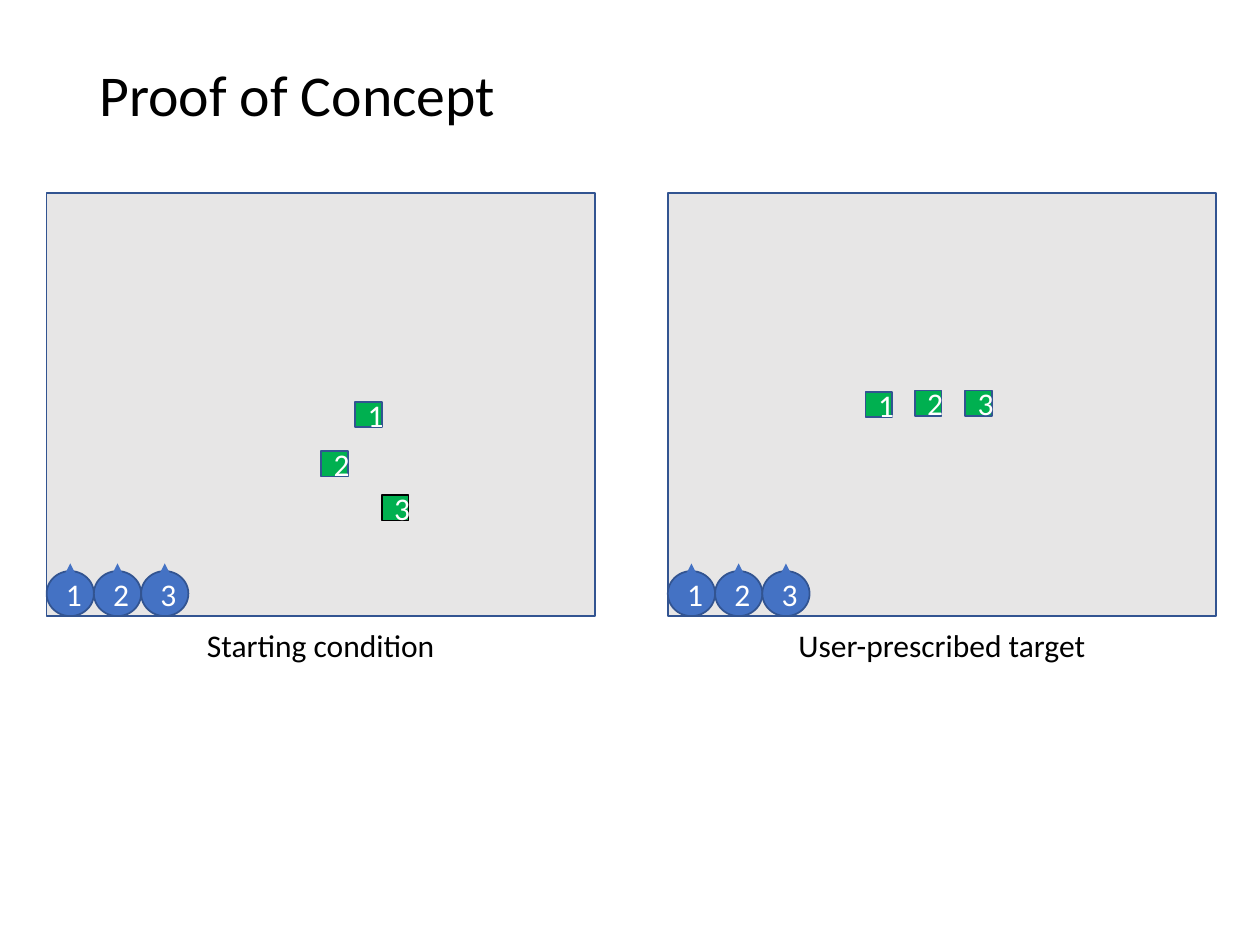
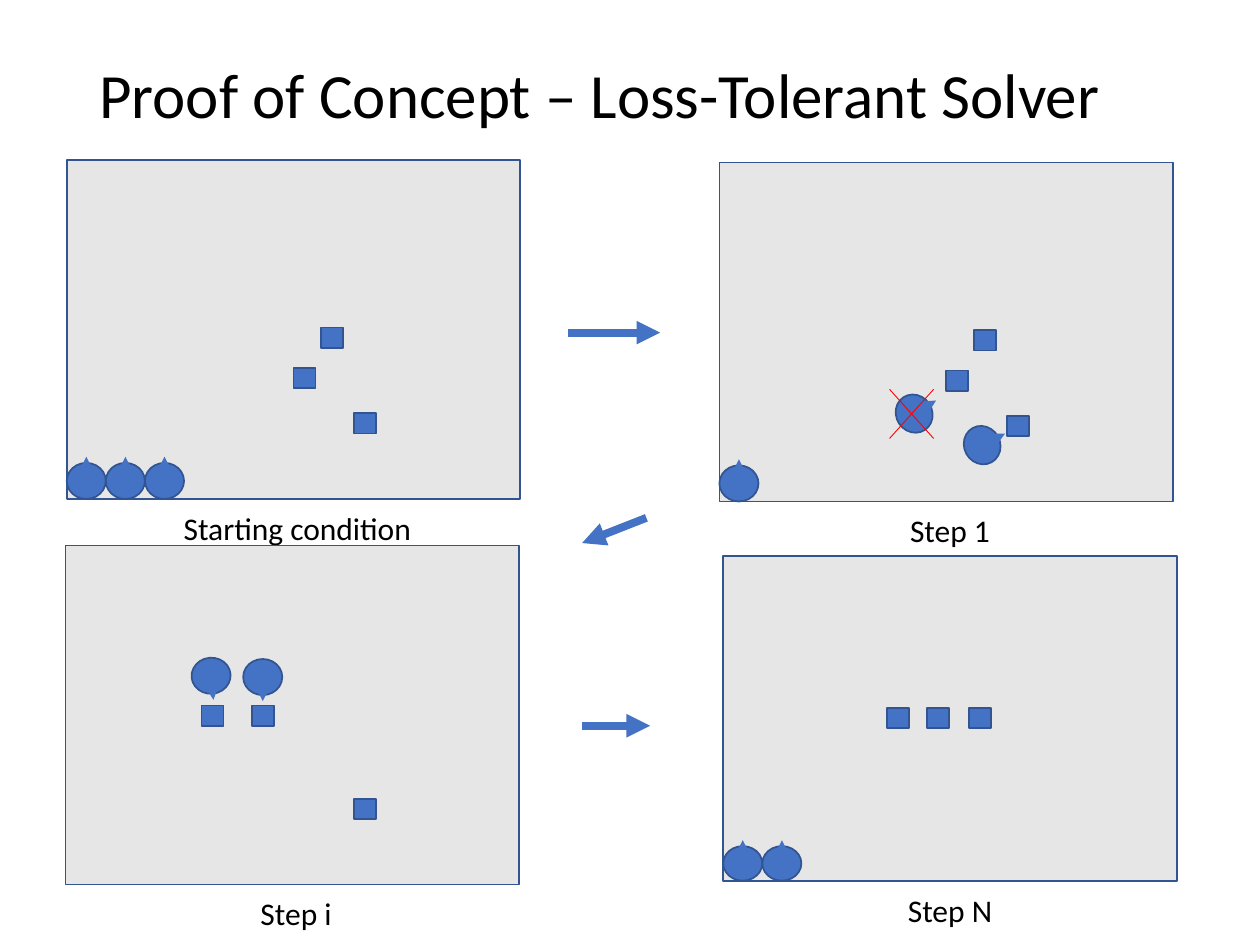
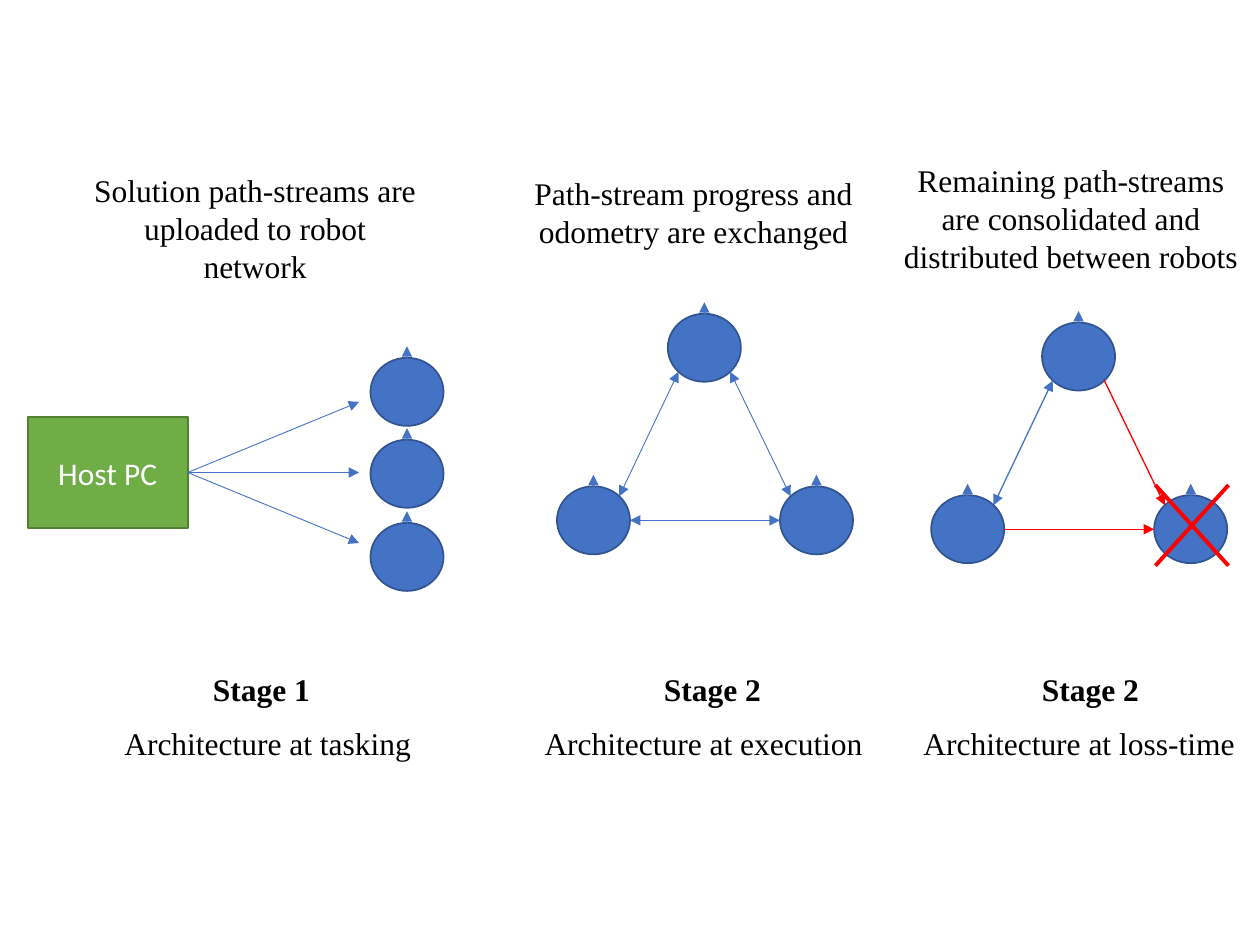
from dataclasses import dataclass
from math import cos, radians, sin

from lxml import etree
from pptx import Presentation
from pptx.dml.color import RGBColor
from pptx.enum.shapes import MSO_CONNECTOR, MSO_SHAPE
from pptx.enum.text import MSO_ANCHOR, MSO_AUTO_SIZE, PP_ALIGN
from pptx.oxml.ns import qn
from pptx.shapes.autoshape import Shape
from pptx.shapes.connector import Connector
from pptx.slide import Slide
from pptx.util import Inches, Pt

RECTANGLE, ELLIPSE = MSO_SHAPE.RECTANGLE, MSO_SHAPE.OVAL
STRAIGHT = MSO_CONNECTOR.STRAIGHT
CENTER, LEFT = PP_ALIGN.CENTER, PP_ALIGN.LEFT
MIDDLE, TOP = MSO_ANCHOR.MIDDLE, MSO_ANCHOR.TOP
GROW = MSO_AUTO_SIZE.SHAPE_TO_FIT_TEXT

SANS, SERIF = "Calibri", "Times New Roman"
BLACK, WHITE, RED = "000000", "FFFFFF", "FF0000"
BLUE, NAVY, GRAY = "4472C4", "325491", "E7E6E6"
BLOCK_GREEN, HOST_GREEN, HOST_EDGE = "00B050", "70AD47", "538035"
BODY_SIZE = 18
RIGHT_SIDE = 3

Point = tuple[float, float]


@dataclass(frozen=True)
class Box:
    left: float
    top: float
    width: float
    height: float

    @property
    def center(self) -> Point:
        return self.left + self.width / 2, self.top + self.height / 2

    def rim(self, heading: float, reach: float = 1) -> Point:
        """Point at a clockwise heading from the top; reach 1 is the edge."""
        x, y = self.center
        angle = radians(heading)
        return (x + sin(angle) * reach * self.width / 2,
                y - cos(angle) * reach * self.height / 2)


@dataclass(frozen=True)
class Block:
    """A block, placed relative to its arena."""
    x: float
    y: float
    label: str = ""
    edge: str = NAVY


@dataclass(frozen=True)
class Rover:
    """A moving robot, placed relative to its arena."""
    x: float
    y: float
    heading: float


@dataclass(frozen=True)
class Arena:
    box: Box
    caption: str
    blocks: tuple[Block, ...]
    parked: int = 0
    rovers: tuple[Rover, ...] = ()
    numbered: bool = False
    caption_shift: float = 0


@dataclass(frozen=True)
class Stage:
    name: str
    name_left: float
    architecture: str
    architecture_left: float
    summary: str
    summary_box: Box


@dataclass(frozen=True)
class Link:
    start: Point
    end: Point
    color: str = BLUE
    weight: float = 0.5
    two_way: bool = False


def rgb(color: str) -> RGBColor:
    return RGBColor.from_string(color)


def write(shape: Shape, text: str, size: float, color: str, font: str = SANS,
          bold: bool = False, align: PP_ALIGN = CENTER) -> None:
    paragraph = shape.text_frame.paragraphs[0]
    paragraph.alignment = align
    run = paragraph.add_run()
    run.text = text
    run.font.name, run.font.size, run.font.bold = font, Pt(size), bold
    run.font.color.rgb = rgb(color)


def add_text(slide: Slide, box: Box, text: str, font: str = SANS,
             bold: bool = False) -> None:
    caption = slide.shapes.add_textbox(Inches(box.left), Inches(box.top),
                                       Inches(box.width), Inches(box.height))
    caption.text_frame.word_wrap = True
    caption.text_frame.auto_size = GROW
    caption.text_frame.vertical_anchor = TOP
    write(caption, text, BODY_SIZE, BLACK, font, bold)


def add_title(slide: Slide, text: str, size: float) -> None:
    title = slide.shapes.add_textbox(Inches(0.69), Inches(0.05),
                                     Inches(8.62), Inches(1.45))
    title.text_frame.word_wrap = True
    title.text_frame.vertical_anchor = MIDDLE
    title.text_frame.paragraphs[0].line_spacing = 0.9
    write(title, text, size, BLACK, align=LEFT)


def add_solid(slide: Slide, kind: MSO_SHAPE, box: Box, fill: str,
              edge: str = NAVY, label: str = "") -> Shape:
    solid = slide.shapes.add_shape(kind, Inches(box.left), Inches(box.top),
                                   Inches(box.width), Inches(box.height))
    solid.shadow.inherit = False
    solid.fill.solid()
    solid.fill.fore_color.rgb = rgb(fill)
    solid.line.color.rgb = rgb(edge)
    solid.line.width = Pt(1)
    if label:
        write(solid, label, BODY_SIZE, WHITE)
    return solid


def add_line(slide: Slide, start: Point, end: Point, color: str = BLUE,
             weight: float = 0.5, head: bool = False,
             tail: bool = False) -> Connector:
    line = slide.shapes.add_connector(
        STRAIGHT, Inches(start[0]), Inches(start[1]), Inches(end[0]), Inches(end[1]))
    line.line.color.rgb = rgb(color)
    line.line.width = Pt(weight)
    properties = line.element.spPr
    stroke = properties.find(qn("a:ln"))
    for tag, wanted in (("a:headEnd", head), ("a:tailEnd", tail)):
        if wanted:
            etree.SubElement(stroke, qn(tag), type="triangle")
    etree.SubElement(properties, qn("a:effectLst"))
    return line


def add_robot(slide: Slide, box: Box, label: str = "", heading: float = 0) -> None:
    body = add_solid(slide, ELLIPSE, box, BLUE, label=label)
    body.rotation = heading
    add_line(slide, box.rim(heading, 0.66), box.rim(heading, 1.34), tail=True)


def add_cross(slide: Slide, box: Box, weight: float) -> None:
    right, bottom = box.left + box.width, box.top + box.height
    add_line(slide, (box.left, box.top), (right, bottom), RED, weight)
    add_line(slide, (box.left, bottom), (right, box.top), RED, weight)


def add_arena(slide: Slide, arena: Arena) -> None:
    box = arena.box
    bottom = box.top + box.height
    add_solid(slide, RECTANGLE, box, GRAY)

    # Robots and blocks scale with the arena
    robot_width, robot_height = box.width / 11.6, box.height / 9.4
    for index in range(arena.parked):
        add_robot(slide, Box(box.left + index * robot_width, bottom - robot_height,
                             robot_width, robot_height),
                  str(index + 1) if arena.numbered else "")
    for block in arena.blocks:
        add_solid(slide, RECTANGLE,
                  Box(box.left + block.x, box.top + block.y,
                      box.width / 20.5, box.height / 16.6),
                  BLOCK_GREEN if arena.numbered else BLUE, block.edge, block.label)
    for rover in arena.rovers:
        add_robot(slide, Box(box.left + rover.x, box.top + rover.y,
                             robot_width, robot_height), heading=rover.heading)

    caption_width = 3.35
    caption_left = box.center[0] - caption_width / 2 + arena.caption_shift
    add_text(slide, Box(caption_left, bottom + 0.03, caption_width, 0.4), arena.caption)


def team_nodes(left: float, top: float) -> tuple[Box, Box, Box]:
    """Left, upper and right robot of a triangle, from its lower left robot."""
    return tuple(Box(left + dx, top + dy, 0.58, 0.54)
                 for dx, dy in ((0, 0), (0.88, -1.37), (1.77, 0)))


def add_team(slide: Slide, nodes: tuple[Box, ...], links: tuple[Link, ...]) -> None:
    for node in nodes:
        add_robot(slide, node)
    for link in links:
        add_line(slide, link.start, link.end, link.color, link.weight,
                 head=link.two_way, tail=True)


# Slide 1: start and target
CONCEPT_ARENAS = (
    Arena(Box(0.37, 1.53, 4.35, 3.36), "Starting condition",
          (Block(2.18, 2.05, "2"), Block(2.45, 1.66, "1"),
           Block(2.66, 2.4, "3", BLACK)), parked=3, numbered=True),
    Arena(Box(5.3, 1.53, 4.35, 3.36), "User-prescribed target",
          (Block(2.36, 1.57, "3"), Block(1.96, 1.57, "2"), Block(1.57, 1.58, "1")),
          parked=3, numbered=True),
)

# Slide 2: solver steps
SCATTERED = (Block(1.8, 1.65), Block(2.28, 2.01), Block(2.02, 1.33))
SOLVER_ARENAS = (
    Arena(Box(0.53, 1.27, 3.6, 2.69), "Starting condition", SCATTERED,
          parked=3, caption_shift=0.03),
    Arena(Box(5.71, 1.29, 3.6, 2.69), "Step 1", SCATTERED, parked=1,
          rovers=(Rover(1.93, 2.1, 61.2), Rover(1.39, 1.85, 56.9)),
          caption_shift=0.03),
    Arena(Box(0.52, 4.33, 3.6, 2.69), "Step i",
          (Block(1.08, 1.27), Block(2.29, 2.01), Block(1.48, 1.27)),
          rovers=(Rover(1.41, 0.9, 180), Rover(1, 0.89, 174.8)),
          caption_shift=0.03),
    Arena(Box(5.74, 4.41, 3.6, 2.58), "Step N",
          (Block(1.95, 1.21), Block(1.62, 1.21), Block(1.3, 1.21)), parked=2),
)
STEP_ARROWS = (
    ((4.51, 2.64), (5.24, 2.64)),
    ((5.13, 4.11), (4.62, 4.31)),
    ((4.62, 5.76), (5.16, 5.76)),
)

# Slide 3: communication stages
STAGES = (
    Stage("Stage 1", 0.34, "Architecture at tasking", 0.39,
          "Solution path-streams are uploaded to robot network",
          Box(0.64, 1.31, 2.77, 1.01)),
    Stage("Stage 2", 3.92, "Architecture at execution", 3.85,
          "Path-stream progress and odometry are exchanged",
          Box(4.12, 1.33, 2.77, 0.71)),
    Stage("Stage 2", 6.92, "Architecture at loss-time", 6.83,
          "Remaining path-streams are consolidated and distributed between robots",
          Box(7.05, 1.23, 2.9, 1.01)),
)


def build_concept(slide: Slide) -> None:
    add_title(slide, "Proof of Concept", 33)
    for arena in CONCEPT_ARENAS:
        add_arena(slide, arena)


def build_solver(slide: Slide) -> None:
    add_title(slide, "Proof of Concept – Loss-Tolerant Solver", 36)
    for arena in SOLVER_ARENAS:
        add_arena(slide, arena)
    for start, end in STEP_ARROWS:
        add_line(slide, start, end, weight=4.5, tail=True)
    add_cross(slide, Box(7.06, 3.09, 0.35, 0.39), 0.5)


def build_stages(slide: Slide) -> None:
    # Host uploading to three robots
    host_box = Box(0.22, 3.31, 1.27, 0.88)
    host = add_solid(slide, RECTANGLE, host_box, HOST_GREEN, HOST_EDGE, "Host PC")
    for end_y in (3.19, 3.75, 4.31):
        upload = add_line(slide, host_box.rim(90), (2.85, end_y), tail=True)
        upload.begin_connect(host, RIGHT_SIDE)
    for top in (2.84, 3.49, 4.15):
        add_robot(slide, Box(2.94, top, 0.58, 0.54))

    # Team exchanging progress
    left, upper, right = team_nodes(4.42, 3.86)
    add_team(slide, (left, upper, right), (
        Link(right.rim(-45), upper.rim(135), two_way=True),
        Link(right.rim(-90), left.rim(90), two_way=True),
        Link(upper.rim(225), left.rim(45), two_way=True),
    ))

    # Team losing a robot
    left, upper, lost = team_nodes(7.39, 3.93)
    add_team(slide, (left, upper, lost), (
        Link(upper.rim(225), left.rim(45), weight=0.75, two_way=True),
        Link(upper.rim(135), lost.rim(-45), RED, 0.75),
        Link(left.rim(90), lost.rim(-90), RED, 0.75),
    ))
    add_cross(slide, Box(9.17, 3.85, 0.58, 0.64), 2.25)

    # Stage wording
    for stage in STAGES:
        add_text(slide, stage.summary_box, stage.summary, SERIF)
        add_text(slide, Box(stage.name_left, 5.27, 3.47, 0.4), stage.name, SERIF, True)
        add_text(slide, Box(stage.architecture_left, 5.7, 3.47, 0.4),
                 stage.architecture, SERIF)


def main() -> None:
    deck = Presentation()
    deck.slide_width, deck.slide_height = Inches(10), Inches(7.5)
    blank = deck.slide_layouts[6]
    for build in (build_concept, build_solver, build_stages):
        build(deck.slides.add_slide(blank))
    deck.save("out.pptx")


if __name__ == "__main__":
    main()
